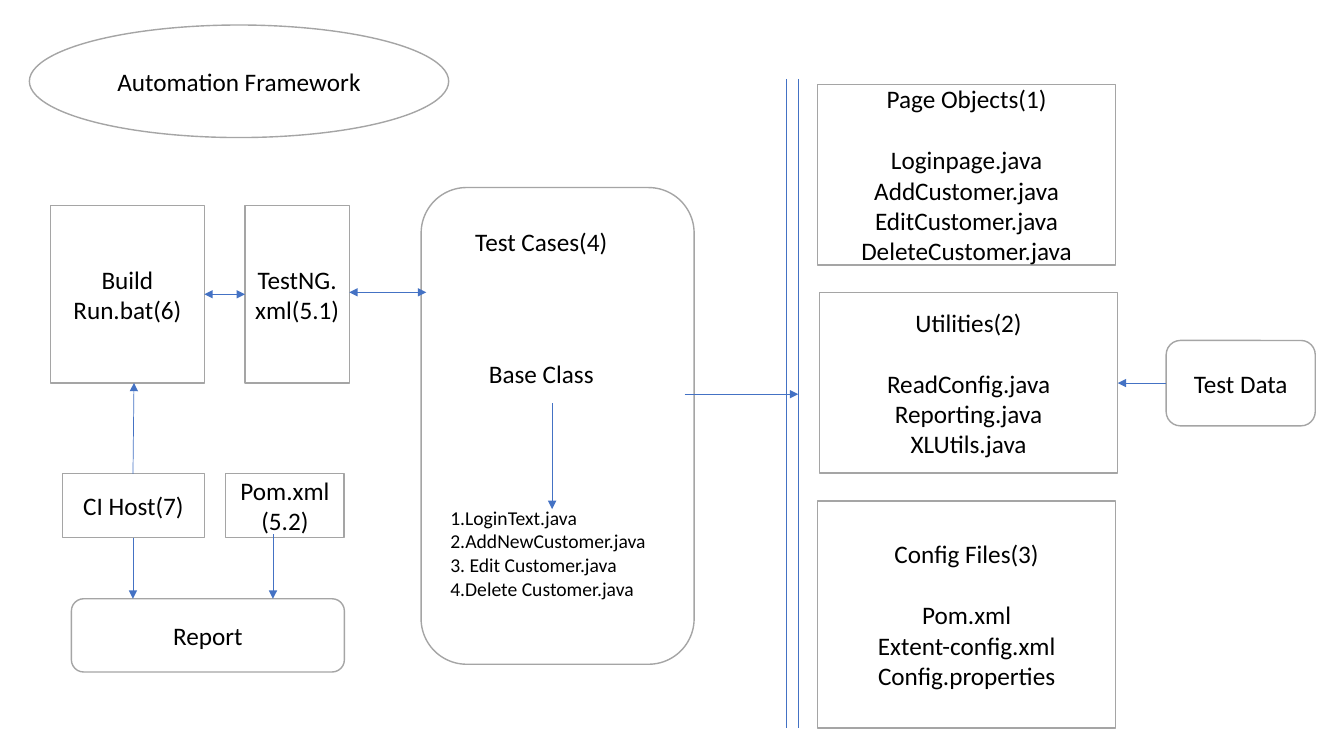
"""Draw the automation framework architecture slide."""
import lxml.etree
import pptx
import pptx.dml.color
import pptx.enum.shapes
import pptx.enum.text
import pptx.oxml.ns
import pptx.util

Pt = pptx.util.Pt
RGBColor = pptx.dml.color.RGBColor
SHAPE = pptx.enum.shapes.MSO_SHAPE
ALIGN = pptx.enum.text.PP_ALIGN
ANCHOR = pptx.enum.text.MSO_ANCHOR

WHITE = RGBColor(0xFF, 0xFF, 0xFF)
BLACK = RGBColor(0, 0, 0)
GRAY = RGBColor(0xA5, 0xA5, 0xA5)
BLUE = RGBColor(0x44, 0x72, 0xC4)


class Diagram:
    font = "Calibri"
    size = 18
    title_gap = 22

    def __init__(self, s):
        self.s = s

    def add_lines(self, tf, lines, size, align, titled=False):
        tf.word_wrap = True
        for i, line in enumerate(lines):
            p = tf.paragraphs[0] if i == 0 else tf.add_paragraph()
            p.alignment = align
            if titled and i == 0:
                p.space_after = Pt(self.title_gap)
            r = p.add_run()
            r.text = line
            r.font.name = self.font
            r.font.size = Pt(size)
            r.font.color.rgb = BLACK

    def box(self, kind, x, y, w, h, lines=(), titled=False):
        sp = self.s.shapes.add_shape(kind, Pt(x), Pt(y), Pt(w), Pt(h))
        sp.shadow.inherit = False
        sp.fill.solid()
        sp.fill.fore_color.rgb = WHITE
        sp.line.color.rgb = GRAY
        sp.line.width = Pt(1)
        sp.text_frame.vertical_anchor = ANCHOR.MIDDLE
        self.add_lines(sp.text_frame, lines, self.size, ALIGN.CENTER, titled)

    def text(self, x, y, w, h, lines, size=size, align=ALIGN.CENTER):
        sp = self.s.shapes.add_textbox(Pt(x), Pt(y), Pt(w), Pt(h))
        self.add_lines(sp.text_frame, lines, size, align)

    def line(self, x1, y1, x2, y2, ends=()):
        c = self.s.shapes.add_connector(
            pptx.enum.shapes.MSO_CONNECTOR.STRAIGHT, Pt(x1), Pt(y1), Pt(x2), Pt(y2))
        c.line.color.rgb = BLUE
        c.line.width = Pt(0.5)
        spPr = c._element.spPr
        ln = spPr.find(pptx.oxml.ns.qn("a:ln"))
        for end in ends:
            lxml.etree.SubElement(ln, pptx.oxml.ns.qn(end), type="triangle")
        lxml.etree.SubElement(spPr, pptx.oxml.ns.qn("a:effectLst"))

    def arrow(self, x1, y1, x2, y2):
        self.line(x1, y1, x2, y2, ["a:tailEnd"])

    def double_arrow(self, x1, y1, x2, y2):
        self.line(x1, y1, x2, y2, ["a:headEnd", "a:tailEnd"])


def main():
    prs = pptx.Presentation()
    prs.slide_width, prs.slide_height = Pt(960), Pt(540)
    d = Diagram(prs.slides.add_slide(prs.slide_layouts[6]))

    d.box(SHAPE.OVAL, 21, 17.9, 299.5, 80.4, ["Automation Framework"])
    d.box(SHAPE.ROUNDED_RECTANGLE, 300.8, 134, 195, 340.5)
    d.text(320.4, 158.4, 132.5, 29, ["Test Cases(4)"])
    d.text(320.4, 252.7, 132.5, 29, ["Base Class"])
    d.text(314.6, 357.8, 168.5, 97, [
        "1.LoginText.java", "2.AddNewCustomer.java",
        "3. Edit Customer.java", "4.Delete Customer.java"], 14, ALIGN.LEFT)

    for x, y, h, lines in [
        (584, 60.3, 129, ["Page Objects(1)", "Loginpage.java", "AddCustomer.java",
                          "EditCustomer.java", "DeleteCustomer.java"]),
        (585.4, 208.9, 129, ["Utilities(2)", "ReadConfig.java", "Reporting.java",
                             "XLUtils.java"]),
        (584, 357.8, 162.3, ["Config Files(3)", "Pom.xml", "Extent-config.xml",
                             "Config.properties"]),
    ]:
        d.box(SHAPE.RECTANGLE, x, y, 213, h, lines, titled=True)

    for x, y, w, h, lines in [
        (36, 146.7, 110, 126.8, ["Build Run.bat(6)"]),
        (175, 146.7, 74.5, 126.8, ["TestNG.xml(5.1)"]),
        (44.6, 338.4, 101.5, 45.6, ["CI Host(7)"]),
        (161.3, 338.4, 84.5, 45.6, ["Pom.xml", "(5.2)"]),
    ]:
        d.box(SHAPE.RECTANGLE, x, y, w, h, lines)
    d.box(SHAPE.ROUNDED_RECTANGLE, 51, 427.7, 195, 52.3, ["Report"])
    d.box(SHAPE.ROUNDED_RECTANGLE, 833, 243.2, 106.5, 61, ["Test Data"])

    for x in (561.8, 570.2):
        d.line(x, 56.3, x, 520.3)
    d.arrow(833, 273.6, 798.4, 273.6)
    d.arrow(489, 281.6, 570.2, 281.6)
    d.arrow(394.4, 288, 394.4, 363.6)
    d.arrow(95, 384, 95, 427.7)
    d.arrow(195, 381.6, 195, 427.7)
    d.arrow(95, 338.4, 95.7, 273.5)
    d.double_arrow(249.5, 208.8, 304.5, 208.8)
    d.double_arrow(146, 210.2, 175, 210.2)

    prs.save("out.pptx")


if __name__ == "__main__":
    main()
